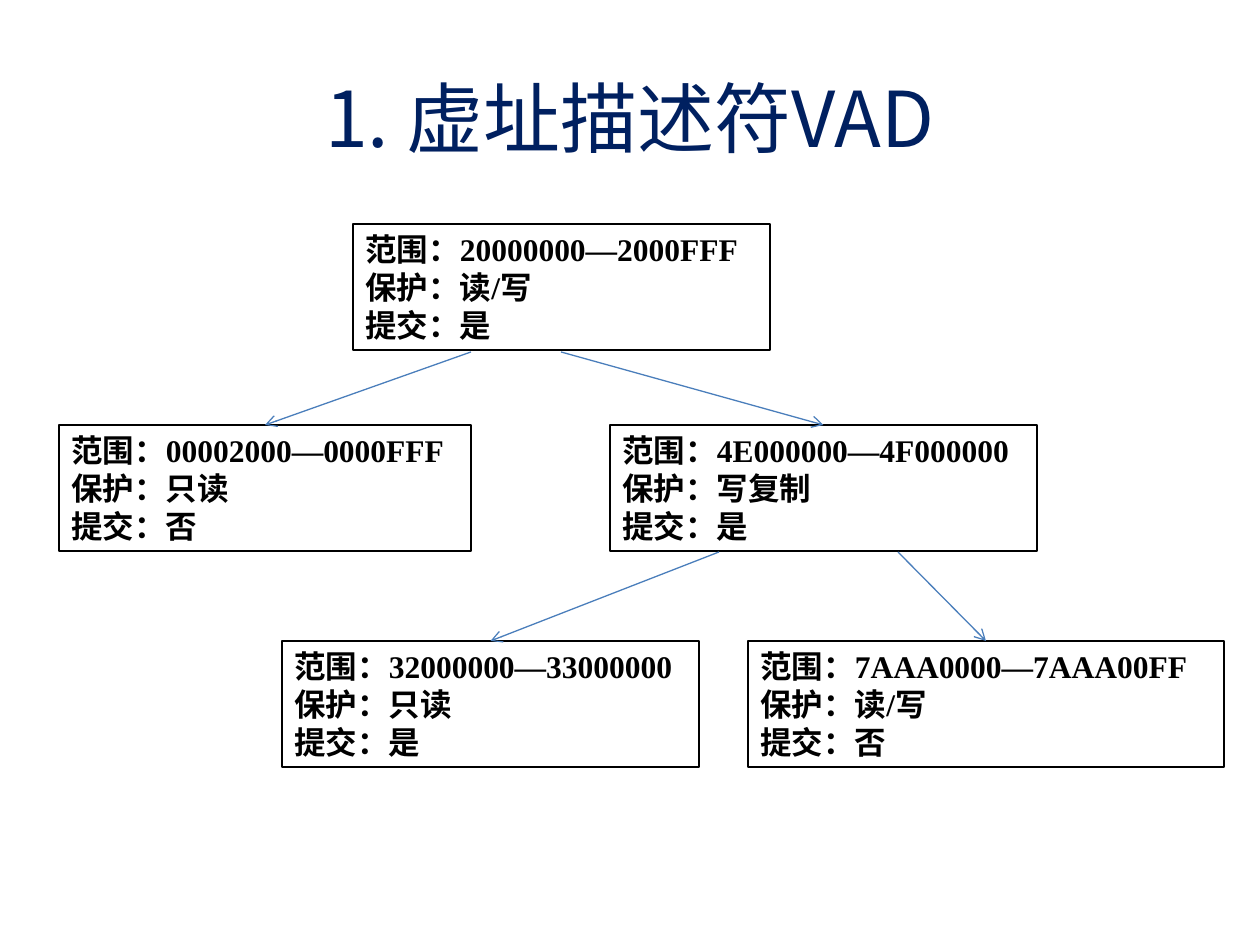
from lxml import etree
from pptx import Presentation
from pptx.dml.color import RGBColor
from pptx.enum.shapes import MSO_CONNECTOR, MSO_SHAPE
from pptx.enum.text import MSO_ANCHOR, MSO_AUTO_SIZE, PP_ALIGN
from pptx.oxml.ns import qn
from pptx.util import Emu, Pt

RECT = MSO_SHAPE.RECTANGLE
STRAIGHT = MSO_CONNECTOR.STRAIGHT
MIDDLE, TOP = MSO_ANCHOR.MIDDLE, MSO_ANCHOR.TOP
GROW = MSO_AUTO_SIZE.SHAPE_TO_FIT_TEXT
CENTER, LEFT = PP_ALIGN.CENTER, PP_ALIGN.LEFT

SCALE = 914400 / 126
HEIGHT = 126
HAN = "Noto Sans CJK JP"
HEAD = {"name": HAN, "size": Pt(44)}
BODY = {"name": "Times New Roman", "size": Pt(18), "bold": True}

NODES = {
    "root": (353, 224, 417, "20000000—2000FFF", "读/写", "是"),
    "low": (59, 425, 412, "00002000—0000FFF", "只读", "否"),
    "high": (610, 425, 427, "4E000000—4F000000", "写复制", "是"),
    "left": (282, 641, 417, "32000000—33000000", "只读", "是"),
    "right": (748, 641, 476, "7AAA0000—7AAA00FF", "读/写", "否"),
}
LINKS = [
    (471, 352, "low"),
    (561, 352, "high"),
    (719, 552, "left"),
    (898, 552, "right"),
]


def px(*nums):
    """Turn pixel lengths into a list of EMU."""
    return [Emu(round(n * SCALE)) for n in nums]


def color(code):
    """Turn a hex string into a colour."""
    return RGBColor.from_string(code)


def style(line, code):
    """Give a line its colour and width."""
    line.color.rgb = color(code)
    line.width = Pt(0.75)


def write(shape, lines, font, code, align):
    """Fill a shape with one paragraph per line."""
    frame = shape.text_frame
    frame.word_wrap = True
    for i, text in enumerate(lines):
        para = frame.paragraphs[0] if i == 0 else frame.add_paragraph()
        para.alignment = align
        run = para.add_run()
        run.text = text
        for key, value in font.items():
            setattr(run.font, key, value)
        run.font.color.rgb = color(code)
        latin = run.font._element.find(qn("a:latin"))
        east = etree.Element(qn("a:ea"), typeface=HAN)
        latin.addnext(east)
    return frame


def title(slide, text):
    """Add the centred heading."""
    box = slide.shapes.add_textbox(*px(63, 38, 1134, 157))
    frame = write(box, [text], HEAD, "002060", CENTER)
    frame.vertical_anchor = MIDDLE


def node(slide, x, y, width, span, guard, commit):
    """Add one descriptor box of the tree."""
    box = slide.shapes.add_shape(RECT, *px(x, y, width, HEIGHT))
    box.shadow.inherit = False
    box.fill.background()
    style(box.line, "000000")
    lines = [f"范围：{span}", f"保护：{guard}", f"提交：{commit}"]
    frame = write(box, lines, BODY, "000000", LEFT)
    frame.vertical_anchor = TOP
    frame.auto_size = GROW
    return box


def arrow(slide, x, y, child):
    """Draw an arrow from a point to the top of a child box."""
    link = slide.shapes.add_connector(STRAIGHT, *px(x, y, x, y))
    link.end_connect(child, 0)
    style(link.line, "4A7EBB")
    etree.SubElement(link.line._get_or_add_ln(), qn("a:tailEnd"), type="arrow")
    etree.SubElement(link._element.spPr, qn("a:effectLst"))


def main():
    """Build the slide and save it."""
    deck = Presentation()
    deck.slide_width, deck.slide_height = px(1260, 945)
    slide = deck.slides.add_slide(deck.slide_layouts[6])
    title(slide, "1. 虚址描述符VAD")
    boxes = {name: node(slide, *data) for name, data in NODES.items()}
    for x, y, name in LINKS:
        arrow(slide, x, y, boxes[name])
    deck.save("out.pptx")


if __name__ == "__main__":
    main()
